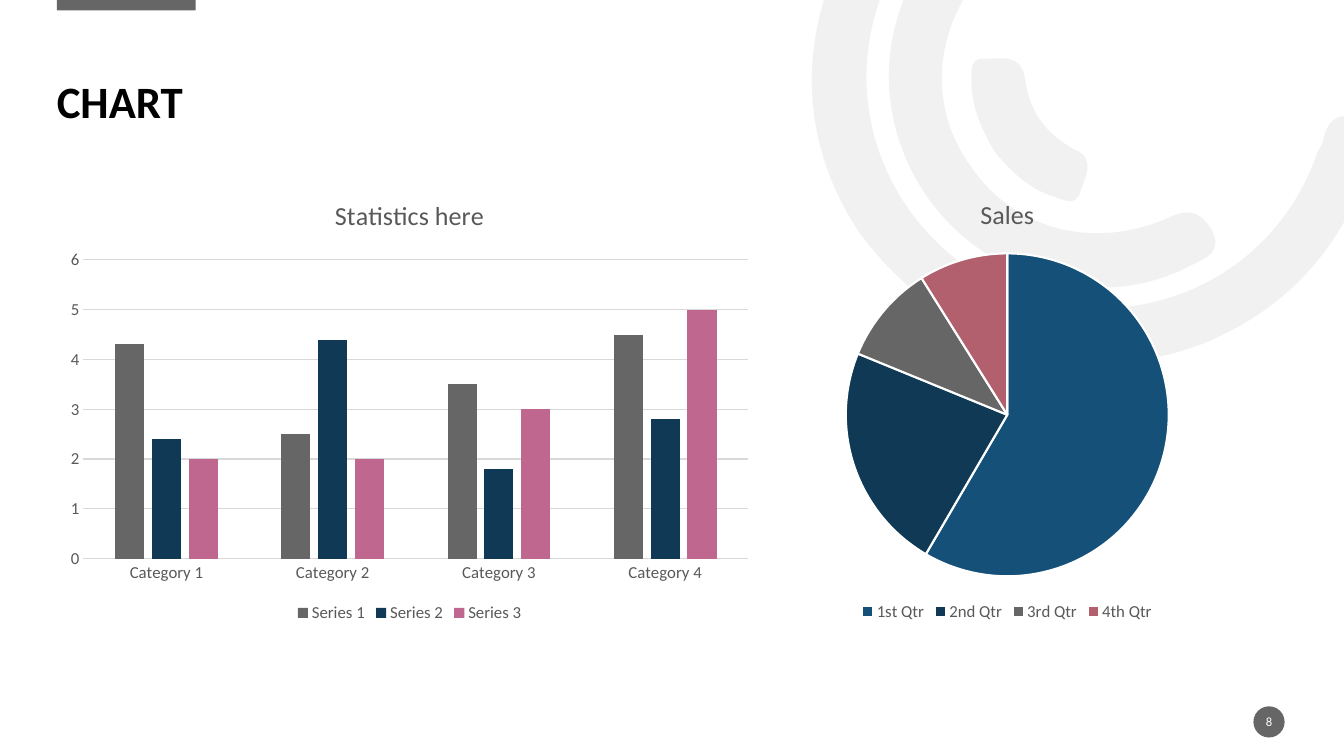
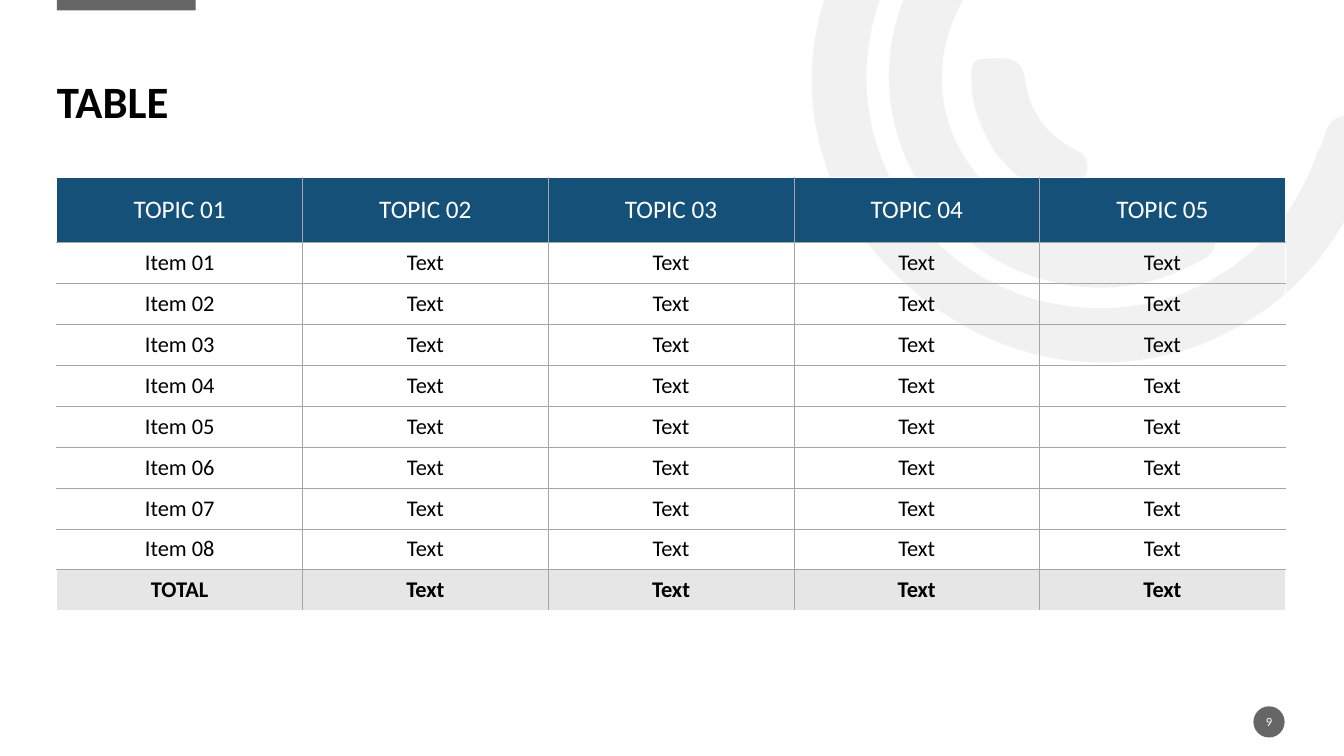
from lxml import etree
from pptx import Presentation
from pptx.chart.data import CategoryChartData
from pptx.dml.color import RGBColor
from pptx.enum.chart import XL_CHART_TYPE, XL_LEGEND_POSITION, XL_TICK_MARK
from pptx.enum.shapes import MSO_SHAPE
from pptx.enum.text import MSO_ANCHOR, PP_ALIGN
from pptx.oxml.ns import qn
from pptx.util import Pt

COLUMN, PIE = XL_CHART_TYPE.COLUMN_CLUSTERED, XL_CHART_TYPE.PIE
BELOW, NO_TICK = XL_LEGEND_POSITION.BOTTOM, XL_TICK_MARK.NONE
RECT, OVAL = MSO_SHAPE.RECTANGLE, MSO_SHAPE.OVAL
MIDDLE, BOTTOM = MSO_ANCHOR.MIDDLE, MSO_ANCHOR.BOTTOM
LEFT, CENTER = PP_ALIGN.LEFT, PP_ALIGN.CENTER

FONT = "Calibri"
HEX = {
    "white": "FFFFFF", "black": "000000", "gray": "666666", "pale": "E7E6E6",
    "label": "595959", "grid": "D9D9D9", "rule": "A6A6A6",
    "blue": "155078", "navy": "0F3955", "pink": "BF678E", "rose": "B2606E",
}
EDGE, WIDE, HIGH = 40.6, 960, 540
SPAN = 877.6

# Each arc: a start point, then two handles and an end point per curve
ARCS = [
    [(613, 165),
     (575, 107), (567, 36), (603, -36), (641, -109), (703, -146), (785, -149),
     (796, -149), (807, -151), (814, -140), (824, -126), (811, -111), (791, -111),
     (696, -111), (623, -42), (619, 49), (616, 130), (674, 202), (753, 217),
     (835, 233), (914, 188), (941, 109), (942, 107), (944, 104), (945, 101),
     (948, 86), (955, 80), (971, 84), (989, 89), (984, 102), (980, 112),
     (960, 176), (920, 221), (858, 246), (770, 279), (674, 248), (613, 165)],
    [(664, 143),
     (621, 83), (626, 5), (677, -49), (685, -57), (693, -68), (706, -56),
     (716, -46), (718, -36), (705, -23), (666, 19), (662, 78), (695, 121),
     (726, 165), (783, 179), (836, 155), (851, 148), (859, 153), (866, 165),
     (873, 180), (862, 184), (852, 189), (789, 223), (708, 203), (664, 143)],
    [(711, 109),
     (702, 94), (694, 77), (694, 59), (694, 53), (692, 41), (703, 42),
     (714, 42), (729, 38), (732, 55), (735, 79), (746, 95), (768, 107),
     (783, 113), (775, 127), (772, 136), (769, 148), (760, 143), (752, 140),
     (735, 135), (722, 122), (711, 109)],
]


def color(name):
    return RGBColor.from_string(HEX[name])


def pts(*box):
    return [Pt(v) for v in box]


def paint(fill, name):
    fill.solid()
    fill.fore_color.rgb = color(name)


def style(font, size, tint, bold=False):
    font.name, font.size, font.bold = FONT, Pt(size), bold
    font.color.rgb = color(tint)


def write(frame, words, size=16, tint="black", bold=False, align=LEFT, space=None):
    para = frame.paragraphs[0]
    para.alignment, para.line_spacing = align, space
    run = para.add_run()
    run.text = words
    style(run.font, size, tint, bold)


def trim(frame, anchor):
    frame.margin_left = frame.margin_right = 0
    frame.margin_top = frame.margin_bottom = 0
    frame.word_wrap, frame.vertical_anchor = True, anchor


def plain(shape, tint):
    shape.shadow.inherit = False
    paint(shape.fill, tint)
    shape.line.fill.background()
    return shape


def arc(slide, nodes):
    """A pale outline of cubic curves."""
    pen = slide.shapes.build_freeform(*pts(*nodes[0]), scale=1.0)
    pen.add_line_segments([pts(*node) for node in nodes[1:]], close=True)
    shape = plain(pen.convert_to_shape(), "pale")
    # Join every three line steps into one curve
    steps = list(shape.element.iter(qn("a:lnTo")))
    for i in range(0, len(steps), 3):
        bend = etree.Element(qn("a:cubicBezTo"))
        steps[i].addprevious(bend)
        for step in steps[i:i + 3]:
            bend.append(step[0])
            step.getparent().remove(step)
    for tone in shape.element.spPr.find(qn("a:solidFill")):
        etree.SubElement(tone, qn("a:alpha"), val="53000")


def base(deck, title, number):
    """A slide with the shared band, arcs, title and page number."""
    slide = deck.slides.add_slide(deck.slide_layouts[6])
    shapes = slide.shapes
    plain(shapes.add_shape(RECT, *pts(EDGE, 0, 99.2, 7.5)), "gray")
    for nodes in ARCS:
        arc(slide, nodes)
    # Title
    frame = shapes.add_textbox(*pts(EDGE, 19, SPAN, 72.5)).text_frame
    trim(frame, BOTTOM)
    write(frame, title, size=32, bold=True, space=0.9)
    # Page number
    badge = plain(shapes.add_shape(OVAL, *pts(895.3, 504.5, 22.3, 22.3)), "gray")
    trim(badge.text_frame, MIDDLE)
    write(badge.text_frame, str(number), size=9, tint="white", align=CENTER)
    return slide


def graph(slide, box, kind, title, cats, series):
    data = CategoryChartData()
    data.categories = cats
    for name, vals in series:
        data.add_series(name, vals)
    chart = slide.shapes.add_chart(kind, *pts(*box), data).chart
    style(chart.font, 12, "label")
    chart.has_title = chart.has_legend = True
    write(chart.chart_title.text_frame, title, size=18.6, tint="label", align=CENTER)
    chart.chart_title.include_in_layout = False
    chart.legend.position = BELOW
    chart.legend.include_in_layout = False
    style(chart.legend.font, 12, "label")
    return chart


def bars(slide, box):
    cats = [f"Category {n}" for n in range(1, 5)]
    rows = [("Series 1", (4.3, 2.5, 3.5, 4.5)),
            ("Series 2", (2.4, 4.4, 1.8, 2.8)),
            ("Series 3", (2, 2, 3, 5))]
    chart = graph(slide, box, COLUMN, "Statistics here", cats, rows)
    plot = chart.plots[0]
    plot.gap_width, plot.overlap, plot.vary_by_categories = 219, -27, False
    for series, tint in zip(plot.series, ("gray", "navy", "pink")):
        paint(series.format.fill, tint)
    # Axes
    cat, val = chart.category_axis, chart.value_axis
    for axis in (cat, val):
        axis.major_tick_mark = axis.minor_tick_mark = NO_TICK
        style(axis.tick_labels.font, 12, "label")
    val.minimum_scale, val.maximum_scale, val.major_unit = 0, 6, 1
    val.format.line.fill.background()
    for line in (cat.format.line, val.major_gridlines.format.line):
        line.color.rgb, line.width = color("grid"), Pt(0.75)


def pie(slide, box):
    cats = ["1st Qtr", "2nd Qtr", "3rd Qtr", "4th Qtr"]
    chart = graph(slide, box, PIE, "Sales", cats, [("Sales", (59, 23, 10, 9))])
    plot = chart.plots[0]
    plot.vary_by_categories = True
    for n, tint in enumerate(("blue", "navy", "gray", "rose")):
        form = plot.series[0].points[n].format
        paint(form.fill, tint)
        form.line.color.rgb, form.line.width = color("white"), Pt(1.5)


def border(cell, side, tint, width):
    line = etree.SubElement(cell._tc.get_or_add_tcPr(), qn(f"a:ln{side}"),
                            w=str(Pt(width)))
    fill = etree.SubElement(line, qn("a:solidFill"))
    etree.SubElement(fill, qn("a:srgbClr"), val=HEX[tint])


def grid(slide, box, rows, head=46.8):
    count, wide = len(rows), len(rows[0])
    table = slide.shapes.add_table(count, wide, *pts(*box)).table
    table.horz_banding = False
    for col in table.columns:
        col.width = Pt(box[2] / wide)
    for r, row in enumerate(rows):
        top, last = r == 0, r == count - 1
        table.rows[r].height = Pt(head if top else (box[3] - head) / (count - 1))
        for c, words in enumerate(row):
            cell = table.cell(r, c)
            cell.vertical_anchor = MIDDLE
            # White outside, thin gray rules inside
            outer = {"L": c == 0, "R": c == wide - 1, "T": top, "B": last}
            for side, out in outer.items():
                border(cell, side, *(("white", 1) if out else ("rule", 0.5)))
            if top or last:
                paint(cell.fill, "blue" if top else "pale")
            else:
                cell.fill.background()
            write(cell.text_frame, words, size=18 if top else 16,
                  tint="white" if top else "black", bold=last, align=CENTER)


def main():
    deck = Presentation()
    deck.slide_width, deck.slide_height = pts(WIDE, HIGH)

    slide = base(deck, "CHART", 8)
    bars(slide, (EDGE, 127.4, 504, 320.4))
    pie(slide, (479, 126.4, 481, 320.4))

    slide = base(deck, "TABLE", 9)
    names = [f"Item {n:02}" for n in range(1, 9)] + ["TOTAL"]
    rows = [[f"TOPIC {n:02}" for n in range(1, 6)]]
    rows += [[name] + ["Text"] * 4 for name in names]
    grid(slide, (EDGE, 126.6, SPAN, 309.6), rows)

    deck.save("out.pptx")


if __name__ == "__main__":
    main()
